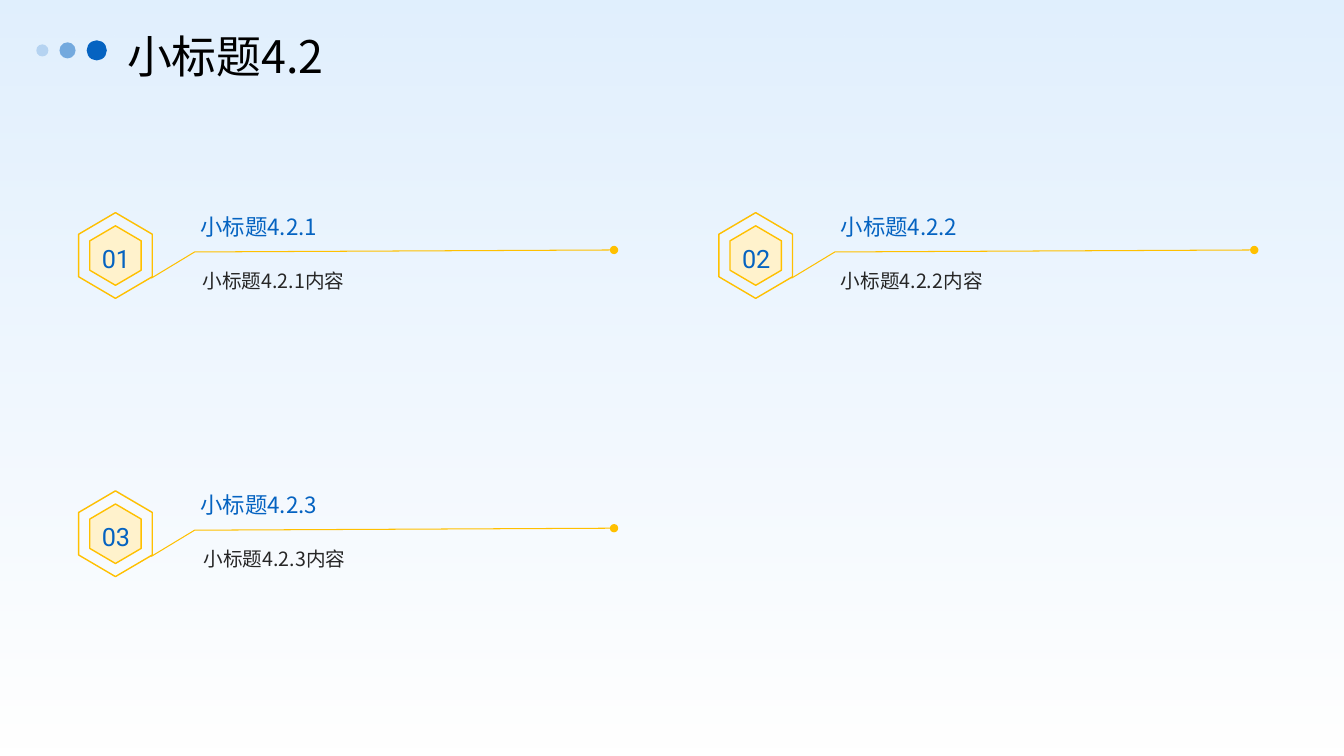
"""Builds a slide with three numbered hexagon entries under a dotted title."""
from dataclasses import dataclass
from typing import Optional

from lxml.etree import SubElement
from pptx import Presentation
from pptx.dml.color import RGBColor
from pptx.enum.shapes import MSO_SHAPE
from pptx.enum.text import MSO_ANCHOR, MSO_AUTO_SIZE, PP_ALIGN
from pptx.oxml.ns import qn
from pptx.util import Inches, Pt

BLUE, GOLD, CREAM, WHITE = "0563C1", "FFC000", "FFF2CC", "FFFFFF"
SKY, BLACK, DARK = "C2E0FD", "000000", "262626"
CJK, LATIN = "Noto Sans CJK SC", "Roboto"
LEFT, TOP, COLUMN_STEP, ROW_STEP = 0.72, 2.17, 6.35, 2.76


@dataclass
class Entry:
    number: str
    heading: str
    column: int
    row: int
    body_dx: float


@dataclass
class Dot:
    left: float
    top: float
    size: float
    alpha: int


@dataclass
class Stop:
    position: float
    color: str
    alpha: int


ENTRIES = [
    Entry("03", "小标题4.2.3", 0, 1, 1.2),
    Entry("02", "小标题4.2.2", 1, 0, 1.17),
    Entry("01", "小标题4.2.1", 0, 0, 1.19),
]
DOTS = [Dot(0.86, 0.4, 0.2, 100), Dot(0.59, 0.42, 0.16, 50), Dot(0.36, 0.44, 0.12, 20)]
SKY_STOPS = [Stop(0, SKY, 50), Stop(1, SKY, 0)]
GLASS_STOPS = [Stop(0.06, WHITE, 0), Stop(1, WHITE, 37)]


def rgb(color: str) -> RGBColor:
    return RGBColor.from_string(color)


def set_alphas(sp, alphas: list[int]) -> None:
    colors = sp._element.spPr.iter(qn("a:srgbClr"))
    for color, alpha in zip(list(colors), alphas):
        SubElement(color, qn("a:alpha")).set("val", str(alpha * 1000))


def fill_gradient(sp, stops: list[Stop], angle: float) -> None:
    sp.fill.gradient()
    sp.fill.gradient_angle = angle
    for target, stop in zip(sp.fill.gradient_stops, stops):
        target.color.rgb = rgb(stop.color)
        target.position = stop.position
    set_alphas(sp, [stop.alpha for stop in stops])


def add_plain(s, kind: MSO_SHAPE, left: float, top: float, width: float,
              height: float, fill: Optional[str] = None):
    sp = s.shapes.add_shape(kind, Inches(left), Inches(top), Inches(width), Inches(height))
    sp.shadow.inherit = False
    sp.line.fill.background()
    if fill:
        sp.fill.solid()
        sp.fill.fore_color.rgb = rgb(fill)
    return sp


def add_hexagon(s, left: float, top: float, width: float, height: float,
                fill: Optional[str] = None) -> None:
    sp = add_plain(s, MSO_SHAPE.HEXAGON, left, top, width, height, fill)
    sp.rotation = 90
    sp.adjustments[0] = 0.293
    if not fill:
        fill_gradient(sp, GLASS_STOPS, 180)
    sp.line.color.rgb = rgb(GOLD)
    sp.line.width = Pt(1)


def add_leader(s, left: float, top: float) -> None:
    builder = s.shapes.build_freeform(Inches(left), Inches(top + 0.28), 1.0)
    bends = [(left + 0.43, top + 0.02), (left + 4.59, top)]
    builder.add_line_segments([(Inches(x), Inches(y)) for x, y in bends], close=False)
    sp = builder.convert_to_shape()
    sp.shadow.inherit = False
    sp.fill.background()
    sp.line.color.rgb = rgb(GOLD)
    sp.line.width = Pt(0.75)
    SubElement(sp.line._get_or_add_ln(), qn("a:tailEnd")).set("type", "oval")


def write(sp, text: str, size: float, color: str, font: str = CJK,
          spacing: float = 1.0, align: PP_ALIGN = PP_ALIGN.LEFT,
          anchor: MSO_ANCHOR = MSO_ANCHOR.TOP) -> None:
    tf = sp.text_frame
    tf.word_wrap = True
    tf.vertical_anchor = anchor
    p = tf.paragraphs[0]
    p.alignment = align
    p.line_spacing = spacing
    p.space_before = Pt(0)
    r = p.add_run()
    r.text = text
    r.font.size = Pt(size)
    r.font.name = font
    r.font.color.rgb = rgb(color)
    SubElement(r.font._element, qn("a:ea")).set("typeface", font)


def add_text(s, left: float, top: float, width: float, height: float):
    return s.shapes.add_textbox(Inches(left), Inches(top), Inches(width), Inches(height))


def add_entry(s, entry: Entry) -> None:
    x = LEFT + entry.column * COLUMN_STEP
    y = TOP + entry.row * ROW_STEP
    add_hexagon(s, x, y, 0.85, 0.73)
    add_leader(s, x + 0.78, y + 0.31)
    heading = add_text(s, x + 1.17, y - 0.45, 4.26, 0.71)
    write(heading, entry.heading, 16, BLUE, anchor=MSO_ANCHOR.BOTTOM)
    body = add_text(s, x + entry.body_dx, y + 0.38, 4.25, 1.38)
    write(body, entry.heading + "内容", 14, DARK, spacing=1.3)
    add_hexagon(s, x + 0.13, y + 0.11, 0.59, 0.51, CREAM)
    number = add_text(s, x + 0.07, y + 0.19, 0.72, 0.35)
    write(number, entry.number, 18, BLUE, LATIN, align=PP_ALIGN.CENTER)


def place_title(s, text: str) -> None:
    title = s.shapes.title
    title.left, title.top = Inches(1.26), Inches(0.26)
    title.width, title.height = Inches(11.89), Inches(0.47)
    tf = title.text_frame
    tf.auto_size = MSO_AUTO_SIZE.NONE
    tf.margin_left = tf.margin_right = tf.margin_top = tf.margin_bottom = 0
    write(title, text, 32, BLACK, spacing=1.2, anchor=MSO_ANCHOR.MIDDLE)
    s.shapes._spTree.append(title._element)


def main() -> None:
    prs = Presentation()
    prs.slide_width, prs.slide_height = Inches(13.33), Inches(7.5)
    s = prs.slides.add_slide(prs.slide_layouts[5])
    backdrop = add_plain(s, MSO_SHAPE.RECTANGLE, 0, 0, 13.33, 7.5)
    fill_gradient(backdrop, SKY_STOPS, 270)
    for entry in ENTRIES:
        add_entry(s, entry)
    place_title(s, "小标题4.2")
    for dot in DOTS:
        sp = add_plain(s, MSO_SHAPE.OVAL, dot.left, dot.top, dot.size, dot.size, BLUE)
        set_alphas(sp, [dot.alpha])
    prs.save("out.pptx")


if __name__ == "__main__":
    main()
